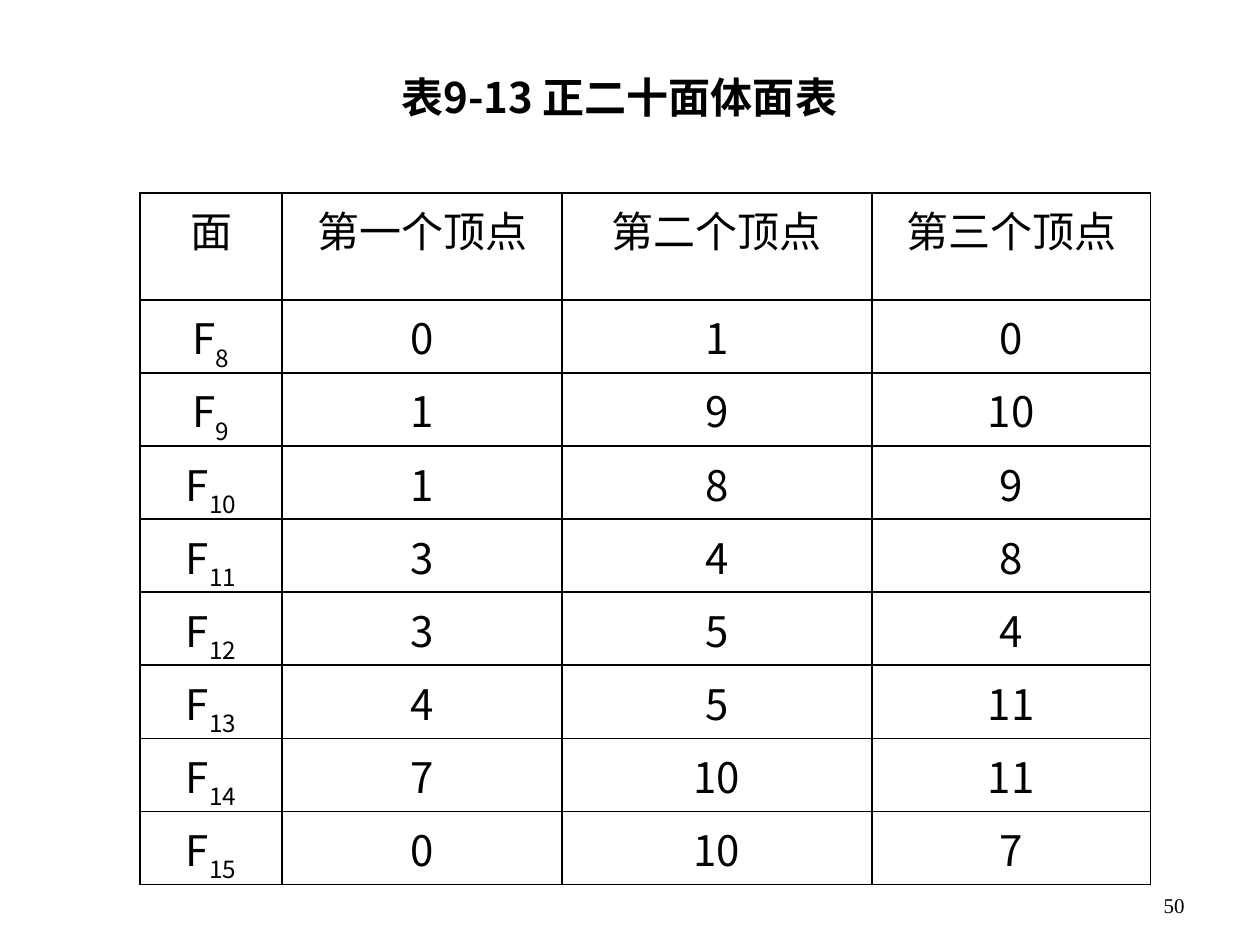
"""Build the slide with the face table of the regular icosahedron."""
from typing import NamedTuple

from lxml.etree import SubElement
from pptx import Presentation
from pptx.dml.color import RGBColor
from pptx.enum.text import MSO_ANCHOR, PP_ALIGN
from pptx.oxml.ns import qn
from pptx.util import Inches, Pt

BLACK = RGBColor(0x00, 0x00, 0x00)
WHITE = RGBColor(0xFF, 0xFF, 0xFF)
SANS = "Noto Sans CJK SC"
SERIF = "Times New Roman"
SLIDE_WIDTH, SLIDE_HEIGHT = Inches(10), Inches(7.5)
COLUMN_WIDTHS = (1.13, 2.22, 2.46, 2.21)
HEADER_HEIGHT, FACE_HEIGHT = 0.85, 0.58
HEADINGS = ("面", "第一个顶点", "第二个顶点", "第三个顶点")


class Box(NamedTuple):
    """Place and size in inches."""

    left: float
    top: float
    width: float
    height: float


class Face(NamedTuple):
    """A triangular face and the numbers of its vertices."""

    number: int
    vertices: tuple[int, int, int]


FACES = (
    Face(8, (0, 1, 0)),
    Face(9, (1, 9, 10)),
    Face(10, (1, 8, 9)),
    Face(11, (3, 4, 8)),
    Face(12, (3, 5, 4)),
    Face(13, (4, 5, 11)),
    Face(14, (7, 10, 11)),
    Face(15, (0, 10, 7)),
)
TITLE_BOX = Box(2.98, 0.55, 3.87, 0.44)
NUMBER_BOX = Box(7.17, 6.83, 2.33, 0.5)
TABLE_BOX = Box(1.11, 1.53, sum(COLUMN_WIDTHS), HEADER_HEIGHT + FACE_HEIGHT * len(FACES))


def write(frame, text: str, *, subscript: str = "", size: float = 24, face: str = SANS,
          bold: bool = False, align=PP_ALIGN.CENTER) -> None:
    """Write one formatted paragraph, with an optional subscript."""
    paragraph = frame.paragraphs[0]
    paragraph.alignment = align
    for part, baseline in ((text, 0), (subscript, -30000)):
        if not part:
            continue
        run = paragraph.add_run()
        run.text = part
        run.font.size = Pt(size)
        run.font.bold = bold
        run.font.color.rgb = BLACK
        run.font.name = face
        properties = run.font._element
        SubElement(properties, qn("a:ea"), typeface=face)
        if baseline:
            properties.set("baseline", str(baseline))


def draw_borders(cell, width: float = 1) -> None:
    """Give a cell a solid black line on every side."""
    properties = cell._tc.get_or_add_tcPr()
    for side in ("lnL", "lnR", "lnT", "lnB"):
        line = SubElement(properties, qn(f"a:{side}"), w=str(Pt(width)))
        SubElement(SubElement(line, qn("a:solidFill")), qn("a:srgbClr"), val=str(BLACK))


def draw_title(slide, box: Box) -> None:
    """Place and write the title placeholder."""
    title = slide.shapes.title
    title.left, title.top, title.width, title.height = map(Inches, box)
    frame = title.text_frame
    frame.word_wrap = False
    frame.vertical_anchor = MSO_ANCHOR.MIDDLE
    write(frame, "表9-13 正二十面体面表", bold=True)


def draw_page_number(slide, box: Box) -> None:
    """Write the page number at the bottom right."""
    frame = slide.shapes.add_textbox(*map(Inches, box)).text_frame
    frame.word_wrap = True
    frame.vertical_anchor = MSO_ANCHOR.BOTTOM
    write(frame, "50", size=12, face=SERIF, align=PP_ALIGN.RIGHT)


def draw_face_table(slide, box: Box) -> None:
    """Draw the headings and one row for each face."""
    table = slide.shapes.add_table(len(FACES) + 1, len(HEADINGS), *map(Inches, box)).table
    table.first_row = table.horz_banding = False
    for column, width in zip(table.columns, COLUMN_WIDTHS):
        column.width = Inches(width)
    for index, row in enumerate(table.rows):
        row.height = Inches(FACE_HEIGHT if index else HEADER_HEIGHT)
    for cell in table.iter_cells():
        draw_borders(cell)
        cell.fill.solid()
        cell.fill.fore_color.rgb = WHITE
    for column, heading in enumerate(HEADINGS):
        write(table.cell(0, column).text_frame, heading)
    for row, face in enumerate(FACES, start=1):
        write(table.cell(row, 0).text_frame, "F", subscript=str(face.number))
        for column, vertex in enumerate(face.vertices, start=1):
            write(table.cell(row, column).text_frame, str(vertex))


def main() -> None:
    """Build and save the slide."""
    presentation = Presentation()
    presentation.slide_width, presentation.slide_height = SLIDE_WIDTH, SLIDE_HEIGHT
    slide = presentation.slides.add_slide(presentation.slide_layouts[5])
    draw_page_number(slide, NUMBER_BOX)
    draw_title(slide, TITLE_BOX)
    draw_face_table(slide, TABLE_BOX)
    presentation.save("out.pptx")


if __name__ == "__main__":
    main()
